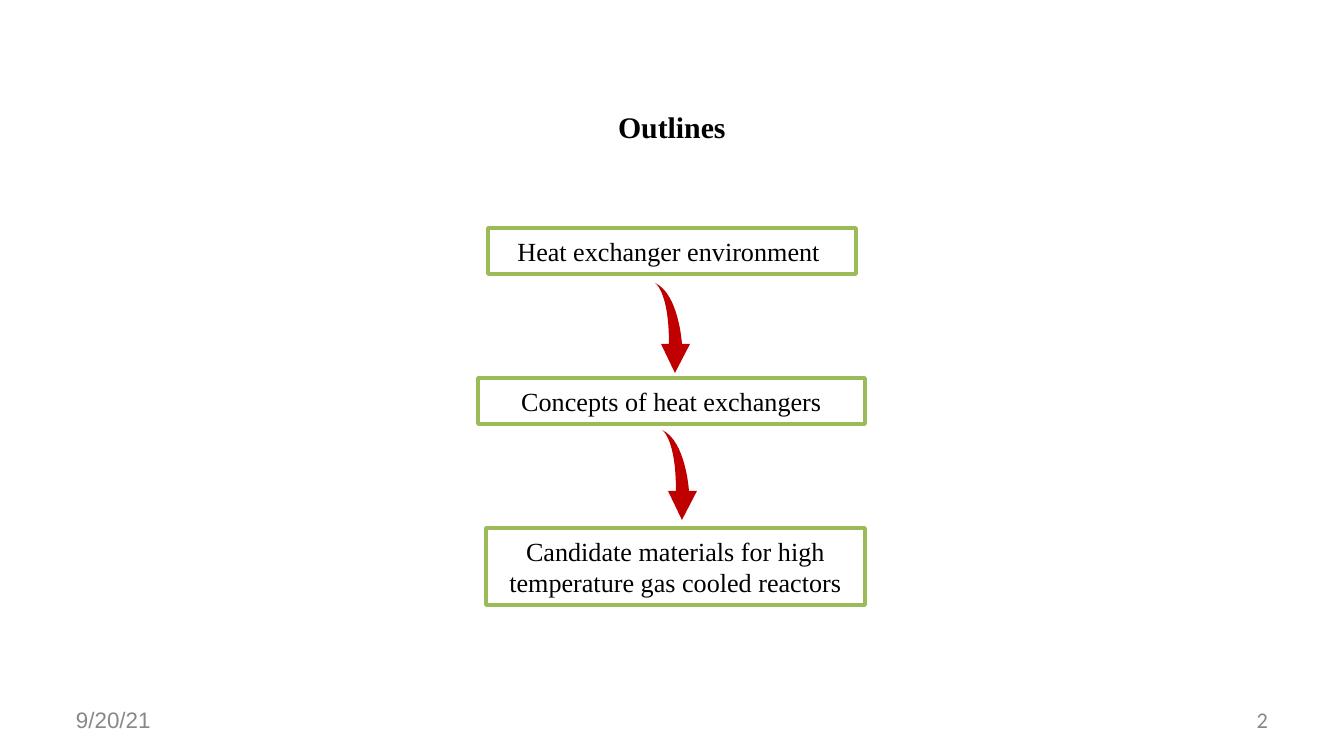
from dataclasses import dataclass
from pptx import Presentation
from pptx.dml.color import RGBColor
from pptx.enum.text import MSO_ANCHOR, PP_ALIGN
from pptx.util import Pt

LEFT, MID, RIGHT = PP_ALIGN.LEFT, PP_ALIGN.CENTER, PP_ALIGN.RIGHT
TOP, CENTER = MSO_ANCHOR.TOP, MSO_ANCHOR.MIDDLE
SCALE = 914400 / 134.4


@dataclass(frozen=True)
class Theme:
    ink: str = "000000"
    gray: str = "888888"
    paper: str = "FFFFFF"
    green: str = "9BBB59"
    red: str = "C00000"
    serif: str = "Times New Roman"
    date: str = "Arial"
    number: str = "Calibri"
    title: int = 16
    body: int = 14
    small: int = 12
    line: int = 2


T = Theme()

SIZE = (1344, 756)
TITLE = ("Outlines", (67, 100, 1210, 54))
FOOT = [
    ("9/20/21", (67, 700, 313, 40), T.date, LEFT),
    ("2", (964, 700, 313, 40), T.number, RIGHT),
]
STEPS = [
    ("Heat exchanger environment ", (488, 228, 368, 46)),
    ("Concepts of heat exchangers", (478, 378, 387, 46)),
    ("Candidate materials for high temperature gas cooled reactors", (486, 528, 379, 77)),
]
ARROWS = [(655, 283), (662, 430)]
INNER = [(0, 0), (0, 0), (14, 8), (14, 61)]
HEAD = [(6, 61), (20, 90), (35, 61)]
OUTER = [(27, 61), (27, 61), (24, 11), (0, 0)]


def emu(px):
    return round(px * SCALE)


def color(code):
    return RGBColor.from_string(code)


def write(slide, text, box, font=T.serif, size=T.body, ink=T.ink, bold=False,
          align=MID, anchor=TOP, pad=(13, 7), border=None):
    shape = slide.shapes.add_textbox(*map(emu, box))
    if border:
        shape.fill.solid()
        shape.fill.fore_color.rgb = color(T.paper)
        shape.line.color.rgb = color(border)
        shape.line.width = Pt(T.line)
    frame = shape.text_frame
    frame.word_wrap = True
    frame.vertical_anchor = anchor
    frame.margin_left = frame.margin_right = emu(pad[0])
    frame.margin_top = frame.margin_bottom = emu(pad[1])
    para = frame.paragraphs[0]
    para.alignment = align
    run = para.add_run()
    run.text = text
    run.font.name = font
    run.font.size = Pt(size)
    run.font.bold = bold
    run.font.color.rgb = color(ink)


def curve(a, b, c, d, steps=16):
    points = []
    for i in range(steps + 1):
        t = i / steps
        u = 1 - t
        points.append(tuple(
            u**3 * p + 3 * u * u * t * q + 3 * u * t * t * r + t**3 * s
            for p, q, r, s in zip(a, b, c, d)))
    return points


def arrow(slide, x, y):
    local = curve(*INNER) + HEAD + curve(*OUTER)
    points = [(emu(x + dx), emu(y + dy)) for dx, dy in local]
    path = slide.shapes.build_freeform(*points[0], scale=1.0)
    path.add_line_segments(points[1:], close=True)
    shape = path.convert_to_shape()
    shape.shadow.inherit = False
    shape.fill.solid()
    shape.fill.fore_color.rgb = color(T.red)
    shape.line.fill.background()


def main():
    deck = Presentation()
    deck.slide_width, deck.slide_height = map(emu, SIZE)
    slide = deck.slides.add_slide(deck.slide_layouts[6])
    write(slide, *TITLE, size=T.title, bold=True, anchor=CENTER, pad=(9, 5))
    for text, box, font, align in FOOT:
        write(slide, text, box, font=font, size=T.small, ink=T.gray,
              align=align, anchor=CENTER, pad=(9, 5))
    for text, box in STEPS:
        write(slide, text, box, border=T.green)
    for x, y in ARROWS:
        arrow(slide, x, y)
    deck.save("out.pptx")


if __name__ == "__main__":
    main()
